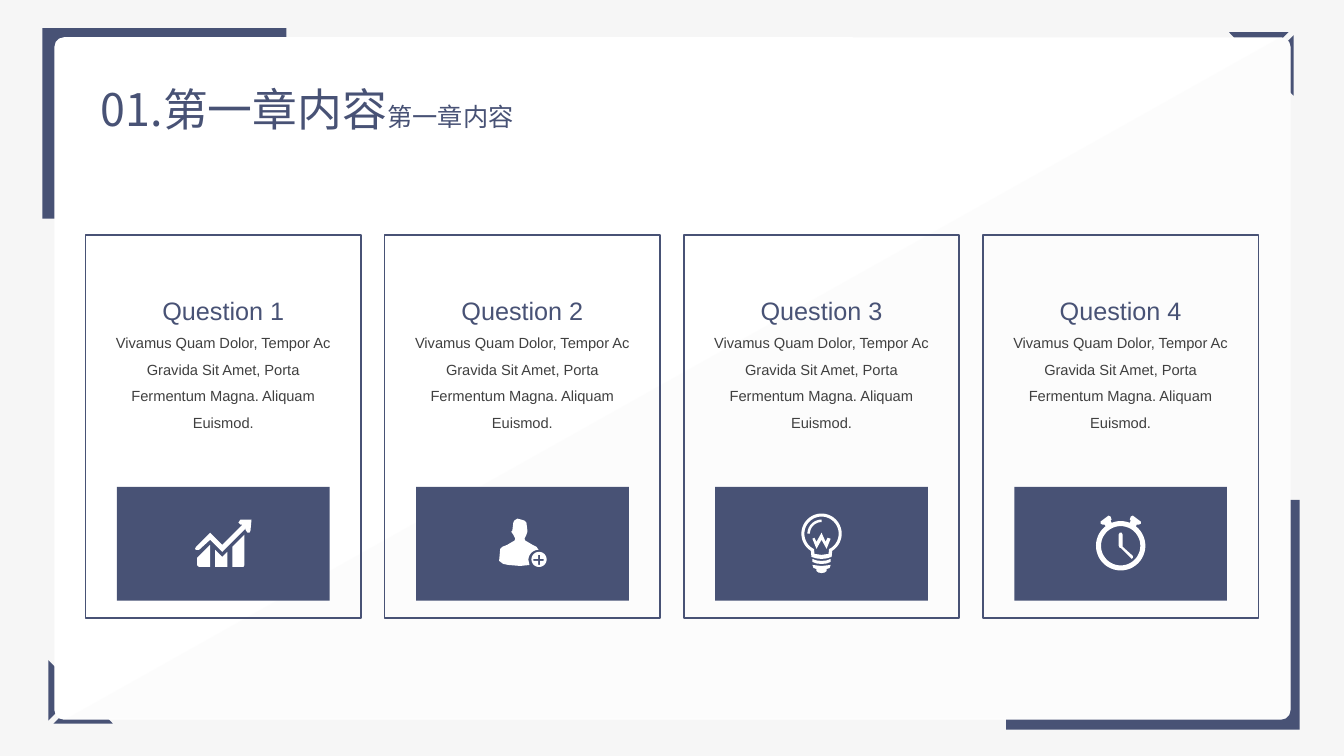
from math import cos, radians, sin

from lxml import etree
from pptx import Presentation
from pptx.dml.color import RGBColor
from pptx.enum.shapes import MSO_SHAPE as Preset
from pptx.enum.text import MSO_ANCHOR as Anchor, MSO_AUTO_SIZE as AutoSize, PP_ALIGN as Align
from pptx.oxml.ns import qn
from pptx.util import Inches, Pt

NAVY = RGBColor(0x48, 0x52, 0x75)
WHITE = RGBColor(0xFF, 0xFF, 0xFF)
PAPER = RGBColor(0xF6, 0xF6, 0xF6)
SHADE = RGBColor(0xF2, 0xF2, 0xF2)
GREY = RGBColor(0x40, 0x40, 0x40)
CJK_FONT = "Noto Sans CJK SC"


def arc(x, y, radius, start, end, steps=48):
    """Points on a circle; angles in degrees, clockwise from the right."""
    angles = [radians(start + (end - start) * i / steps) for i in range(steps + 1)]
    return [(x + radius * cos(a), y + radius * sin(a)) for a in angles]


# Content
TITLE_RUNS = [
    ("01.第一章内容", {"size": Pt(32), "name": CJK_FONT}),
    ("第一章内容", {"size": Pt(18), "name": "Arial"}),
]
BODY = "Vivamus Quam Dolor, Tempor Ac Gravida Sit Amet, Porta Fermentum Magna. Aliquam Euismod."
HEADING_FONT = {"size": Pt(18), "name": "Arial"}
BODY_FONT = {"size": Pt(10.5), "name": "Arial"}

# Icon outlines, in hundredths of an inch from the icon centre
GROWTH_ICON = [
    [(-26, 14), (-26, 21), (-25, 22.5), (-23, 23), (-13, 23), (-13, 1)],
    [(-8, 6), (-8, 23), (4, 23), (4, 8), (-1, 13)],
    [(9, 3), (9, 23), (20, 23), (21, 21), (21, -9), (11, 1)],
    [(17, -24), (15, -21), (17, -19), (19, -19), (-1, 1), (-13, -11), (-27, 3),
     (-28, 5), (-27, 6), (-24, 6), (-13, -4), (-1, 8), (23, -16), (22, -14),
     (24, -11), (26, -11), (27, -13), (28, -24)],
]
USER_ICON = [
    [(10, 1), (5, -2), (3, -3), (2, -5), (4, -9), (5, -12), (5, -13), (4, -21),
     (2, -23), (-1, -24), (-5, -25), (-8, -23), (-9, -21), (-10, -13), (-11, -12),
     (-9, -9), (-7, -5), (-8, -3), (-10, -2), (-15, 1), (-20, 3), (-22, 5),
     (-23, 16), (-23, 17), (-19, 20), (-14, 21), (-2, 22), (7, 21)]
    + arc(16, 16, 10, 180, 270) + [(14, 3)],
    arc(16.5, 15.5, 7.5, 0, 360),
    [(15.5, 11), (17.5, 11), (17.5, 15), (21, 15), (21, 17), (17.5, 17),
     (17.5, 21), (15.5, 21), (15.5, 17), (11, 17), (11, 15), (15.5, 15)],
]
BULB_ICON = [
    arc(0, -10, 20, 58, -238) + [(-10, 13), (-5, 14.5), (0, 15), (5, 14.5), (10, 13)],
    arc(0, -10, 17, 64, -244) + [(-7, 10), (0, 11), (7, 10)],
    [(-9, 15), (-9, 18), (-5, 19.5), (0, 20), (5, 19.5), (9, 18), (9, 15),
     (5, 16.5), (0, 17), (-5, 16.5)],
    [(-9, 21), (-8, 24), (-5, 25), (-5, 27), (-3, 28.5), (0, 29), (3, 28.5),
     (5, 27), (5, 25), (8, 24), (9, 21), (0, 22)],
    arc(0, -10, 14, 180, 270) + arc(0, -10, 11.5, 270, 180),
    [(4, -2), (0, -11), (-5, -2), (-7, -6), (-9, -5), (-5, 5), (0, -4), (5, 5),
     (9, -5), (6, -6)],
]
BELL = [(15, -17.4), (16, -19), (18, -19), (20, -20), (20, -22), (12, -28),
        (10, -27), (9, -24), (10, -23), (9, -20.8)]
CLOCK_ICON = [
    arc(0, 2, 24.5, 0, 360),
    arc(0, 2, 19.5, 0, 360),
    [(2, 3), (2, -9), (1, -11), (-1, -11), (-2, -9), (-2, 2), (-1, 4), (0, 4),
     (10, 14), (11, 15), (12, 14), (12, 12)],
    BELL,
    [(-x, y) for x, y in BELL],
]
CARDS = [
    ("Question 1", GROWTH_ICON),
    ("Question 2", USER_ICON),
    ("Question 3", BULB_ICON),
    ("Question 4", CLOCK_ICON),
]

# Layout, in inches
CARD_LEFT, LAST_CARD_LEFT = 0.85, 9.75
CARD_TOP, CARD_WIDTH, CARD_HEIGHT = 2.33, 2.73, 3.8
TILE_TOP, TILE_WIDTH, TILE_HEIGHT = 4.83, 2.11, 1.13
TEXT_TOP, TEXT_WIDTH, TEXT_HEIGHT = 2.73, 2.33, 1.62
FRAMES = [(0.42, 0.28, 2.42, 1.89), (9.98, 4.96, 2.91, 2.28)]
PANEL = (0.54, 0.37, 12.26, 6.77)
CORNER = [
    [(0.63, 6.7), (0.63, 7), (0.48, 7.15), (0.48, 6.55)],
    [(1.12, 7.18), (0.53, 7.18), (0.68, 7.03), (0.98, 7.03)],
]
OPPOSITE_CORNER = [[(13.31 - x, 7.5 - y) for x, y in strip] for strip in CORNER]
PANEL_SHADE = [arc(12.7, 0.47, 0.1, -90, 0) + arc(12.7, 7.03, 0.1, 0, 90) + [(0.66, 7.13)]]


def paint(shape, fill=None, line=None):
    shape.shadow.inherit = False
    if fill is None:
        shape.fill.background()
    else:
        shape.fill.solid()
        shape.fill.fore_color.rgb = fill
    if line is None:
        shape.line.fill.background()
    else:
        shape.line.color.rgb = line
        shape.line.width = Pt(1)
    return shape


def add_box(slide, preset, box, **colours):
    return paint(slide.shapes.add_shape(preset, *map(Inches, box)), **colours)


def add_outline(slide, contours, fill):
    paths = [[(Inches(x), Inches(y)) for x, y in contour] for contour in contours]
    builder = slide.shapes.build_freeform(*paths[0][0])
    for number, points in enumerate(paths):
        if number:
            builder.move_to(*points[0])
        builder.add_line_segments(points[1:], close=True)
    return paint(builder.convert_to_shape(), fill=fill)


def add_run(paragraph, text, font, colour):
    run = paragraph.add_run()
    run.text = text
    for name, value in font.items():
        setattr(run.font, name, value)
    run.font.color.rgb = colour
    return run


def add_background(slide):
    slide.background.fill.solid()
    slide.background.fill.fore_color.rgb = PAPER
    for frame in FRAMES:
        add_box(slide, Preset.RECTANGLE, frame, fill=NAVY)
    for corner in (CORNER, OPPOSITE_CORNER):
        add_outline(slide, corner, NAVY)
    panel = add_box(slide, Preset.ROUNDED_RECTANGLE, PANEL, fill=WHITE)
    panel.adjustments[0] = 0.014
    shade = add_outline(slide, PANEL_SHADE, SHADE)
    colour = shade.fill._xPr.find(qn("a:solidFill"))[0]
    etree.SubElement(colour, qn("a:alpha"), val="16000")


def add_title(slide):
    title = slide.shapes.title
    slide.shapes._spTree.append(title._element)  # bring in front of the panel
    title.left, title.top, title.width, title.height = map(Inches, (0.9, 0.76, 5.75, 0.64))
    frame = title.text_frame
    frame.auto_size = AutoSize.NONE
    frame.vertical_anchor = Anchor.MIDDLE
    paragraph = frame.paragraphs[0]
    paragraph.alignment = Align.LEFT
    for text, font in TITLE_RUNS:
        run = add_run(paragraph, text, font, NAVY)
        latin = run.font._element.find(qn("a:latin"))
        latin.addnext(etree.Element(qn("a:ea"), typeface=CJK_FONT))


def add_card(slide, left, heading, icon):
    centre = left + CARD_WIDTH / 2
    add_box(slide, Preset.RECTANGLE, (left, CARD_TOP, CARD_WIDTH, CARD_HEIGHT), line=NAVY)
    tile = (centre - TILE_WIDTH / 2, TILE_TOP, TILE_WIDTH, TILE_HEIGHT)
    add_box(slide, Preset.RECTANGLE, tile, fill=NAVY)
    box = (centre - TEXT_WIDTH / 2, TEXT_TOP, TEXT_WIDTH, TEXT_HEIGHT)
    frame = slide.shapes.add_textbox(*map(Inches, box)).text_frame
    frame.word_wrap = True
    lines = [(heading, HEADING_FONT, NAVY), (BODY, BODY_FONT, GREY)]
    for number, line in enumerate(lines):
        paragraph = frame.add_paragraph() if number else frame.paragraphs[0]
        paragraph.alignment = Align.CENTER
        paragraph.line_spacing = 1.5
        add_run(paragraph, *line)
    middle = TILE_TOP + TILE_HEIGHT / 2
    contours = [[(centre + x / 100, middle + y / 100) for x, y in part] for part in icon]
    add_outline(slide, contours, WHITE)


def main():
    presentation = Presentation()
    presentation.slide_width, presentation.slide_height = Inches(13.33), Inches(7.5)
    slide = presentation.slides.add_slide(presentation.slide_layouts[5])
    add_background(slide)
    add_title(slide)
    pitch = (LAST_CARD_LEFT - CARD_LEFT) / (len(CARDS) - 1)
    for number, (heading, icon) in enumerate(CARDS):
        add_card(slide, CARD_LEFT + number * pitch, heading, icon)
    presentation.save("out.pptx")


if __name__ == "__main__":
    main()
